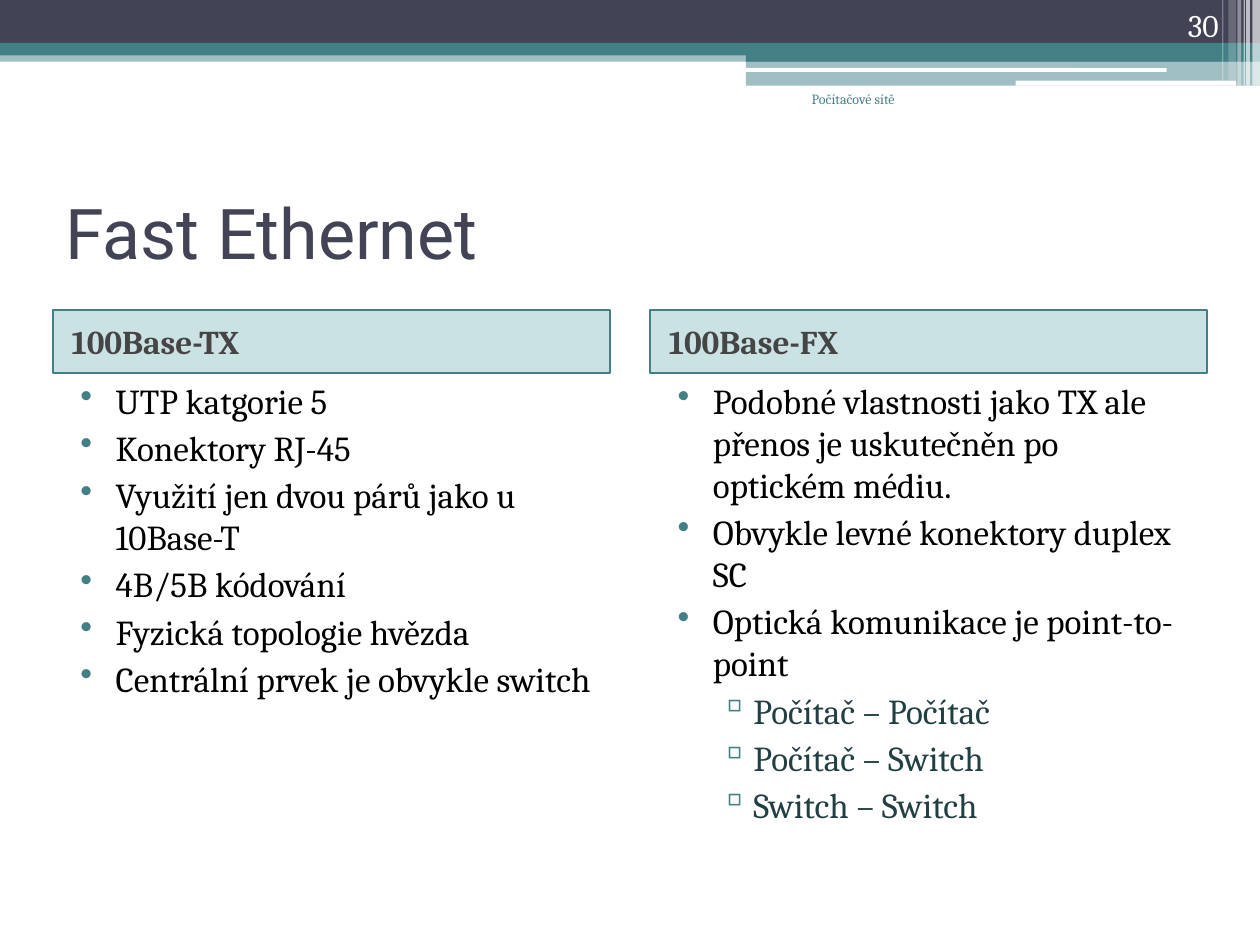
"""Build the Fast Ethernet comparison slide."""
from lxml import etree
from pptx import Presentation
from pptx.dml.color import RGBColor
from pptx.enum import shapes, text
from pptx.oxml import ns
from pptx.util import Inches, Pt

NAVY, TEAL, DARK_TEAL, WHITE = "424456", "438086", "224043", "FFFFFF"
BODY_FONT = "Cambria"
TITLE = "Fast Ethernet"
FOOTER = "Počítačové sítě"
PAGE = "30"
COLUMNS = [
    ("100Base-TX", 3.13, [
        (0, "UTP katgorie 5"),
        (0, "Konektory RJ-45"),
        (0, "Využití jen dvou párů jako u 10Base-T"),
        (0, "4B/5B kódování"),
        (0, "Fyzická topologie hvězda"),
        (0, "Centrální prvek je obvykle switch"),
    ]),
    ("100Base-FX", 4.25, [
        (0, "Podobné vlastnosti jako TX ale přenos je uskutečněn po optickém médiu."),
        (0, "Obvykle levné konektory duplex SC"),
        (0, "Optická komunikace je point-to-point"),
        (1, "Počítač – Počítač"),
        (1, "Počítač – Switch"),
        (1, "Switch – Switch"),
    ]),
]
LEVELS = [("•", 0.4, -0.28, "000000"), ("▫", 0.72, -0.27, DARK_TEAL)]
BANDS = [
    (0, 0.4, 10, 0.09, TEAL, 50),
    (0, 0, 10, 0.34, NAVY, 100),
    (0, 0.34, 10, 0.1, TEAL, 100),
    (5.92, 0.39, 4.08, 0.1, TEAL, 100),
    (5.92, 0.48, 4.08, 0.2, TEAL, 50),
]
RULES = [(5.91, 0.54, 3.35, 0.03, WHITE, 100), (8.06, 0.64, 1.75, 0.04, WHITE, 100)]
STRIPES = [
    (9.94, 0, 0.06, 0.68, WHITE, 65),
    (9.89, 0, 0.03, 0.68, WHITE, 65),
    (9.87, 0, 0.01, 0.68, WHITE, 60),
    (9.82, 0, 0.03, 0.68, WHITE, 40),
    (9.75, 0, 0.06, 0.64, WHITE, 20),
    (9.7, 0, 0.01, 0.64, WHITE, 30),
]
COLUMN_LEFT, COLUMN_STEP, COLUMN_WIDTH = 0.42, 4.74, 4.42
HEADER_TOP, HEADER_HEIGHT = 2.46, 0.5


def color(value):
    return RGBColor.from_string(value)


def add_block(slide, left, top, width, height, fill, opacity=100,
              kind=shapes.MSO_SHAPE.RECTANGLE):
    shape = slide.shapes.add_shape(
        kind, Inches(left), Inches(top), Inches(width), Inches(height))
    shape.shadow.inherit = False
    shape.line.fill.background()
    shape.fill.solid()
    shape.fill.fore_color.rgb = color(fill)
    if opacity < 100:
        element = shape.fill._xPr.find(".//" + ns.qn("a:srgbClr"))
        etree.SubElement(element, ns.qn("a:alpha"), val=str(opacity * 1000))
    return shape


def add_text(slide, left, top, width, height):
    return slide.shapes.add_textbox(
        Inches(left), Inches(top), Inches(width), Inches(height))


def write(shape, lines, size, fill, font=BODY_FONT, bold=False,
          align=text.PP_ALIGN.LEFT, anchor=text.MSO_ANCHOR.TOP):
    frame = shape.text_frame
    frame.word_wrap = True
    frame.vertical_anchor = anchor
    frame.text = "\n".join(lines)
    for paragraph in frame.paragraphs:
        paragraph.alignment = align
        for run in paragraph.runs:
            run.font.size = Pt(size)
            run.font.name = font
            run.font.bold = bold
            run.font.color.rgb = color(fill)
    return frame.paragraphs


def indent(paragraph, margin, first=0):
    paragraph.space_before = Pt(3)
    properties = paragraph._p.get_or_add_pPr()
    properties.set("marL", str(Inches(margin)))
    properties.set("indent", str(Inches(first)))
    return properties


def add_bullet(paragraph, level):
    character, margin, first, fill = LEVELS[level]
    paragraph.level = level
    paragraph.runs[0].font.color.rgb = color(fill)
    properties = indent(paragraph, margin, first)
    bullet_color = etree.SubElement(properties, ns.qn("a:buClr"))
    etree.SubElement(bullet_color, ns.qn("a:srgbClr"), val=TEAL)
    etree.SubElement(properties, ns.qn("a:buChar"), char=character)


def add_column(slide, left, heading, height, items):
    header = add_block(slide, left, HEADER_TOP, COLUMN_WIDTH, HEADER_HEIGHT, "328E97", 25)
    header.line.color.rgb = color(TEAL)
    header.line.width = Pt(1)
    paragraphs = write(header, [heading], 19, "454545", bold=True,
                       anchor=text.MSO_ANCHOR.MIDDLE)
    indent(paragraphs[0], 0.05)
    body = add_text(slide, left, HEADER_TOP + HEADER_HEIGHT, COLUMN_WIDTH, height)
    paragraphs = write(body, [line for _, line in items], 20, LEVELS[0][3])
    for paragraph, (level, _) in zip(paragraphs, items):
        add_bullet(paragraph, level)


def main():
    presentation = Presentation()
    presentation.slide_width, presentation.slide_height = Inches(10), Inches(7.5)
    slide = presentation.slides.add_slide(presentation.slide_layouts[6])
    for band in BANDS:
        add_block(slide, *band)
    for rule in RULES:
        add_block(slide, *rule, kind=shapes.MSO_SHAPE.ROUNDED_RECTANGLE)
    for stripe in STRIPES:
        add_block(slide, *stripe)
    write(add_text(slide, COLUMN_LEFT, 1.25, 9.17, 1.17), [TITLE], 40, NAVY,
          font="Roboto", anchor=text.MSO_ANCHOR.MIDDLE)
    for index, column in enumerate(COLUMNS):
        add_column(slide, COLUMN_LEFT + index * COLUMN_STEP, *column)
    write(add_text(slide, 8.94, 0, 0.83, 0.4), [PAGE], 18, WHITE,
          align=text.PP_ALIGN.RIGHT, anchor=text.MSO_ANCHOR.BOTTOM)
    write(add_text(slide, 5.75, 0.67, 1.45, 0.5), [FOOTER], 8, TEAL,
          align=text.PP_ALIGN.RIGHT)
    presentation.save("out.pptx")


if __name__ == "__main__":
    main()
